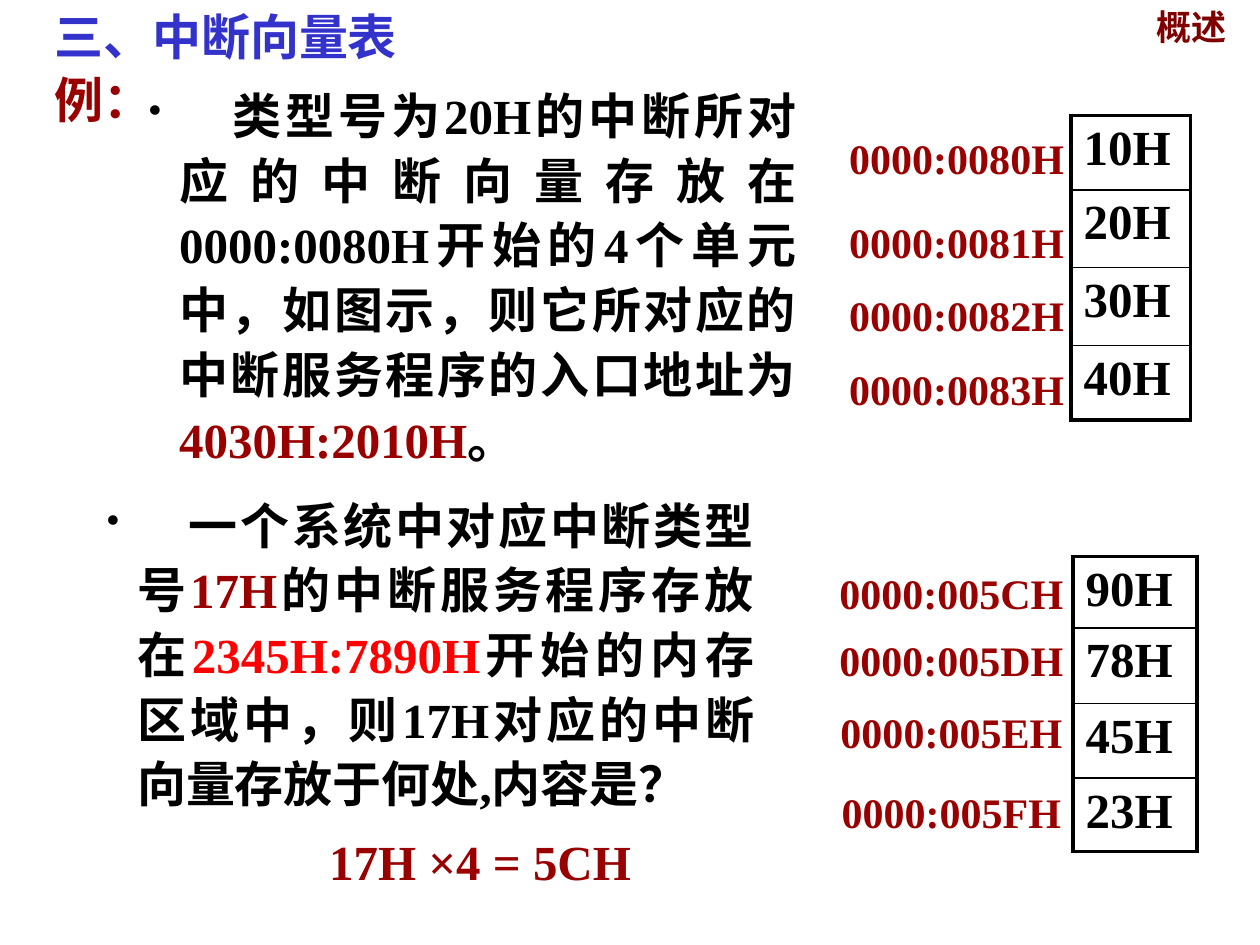
from lxml import etree
from pptx import Presentation
from pptx.dml.color import RGBColor
from pptx.enum.text import MSO_ANCHOR, PP_ALIGN
from pptx.oxml.ns import qn
from pptx.util import Inches, Pt

BLACK = RGBColor(0x00, 0x00, 0x00)
WHITE = RGBColor(0xFF, 0xFF, 0xFF)
BLUE = RGBColor(0x33, 0x33, 0xCC)
MAROON = RGBColor(0x80, 0x00, 0x00)
DARK_RED = RGBColor(0x99, 0x00, 0x00)
RED = RGBColor(0xFF, 0x00, 0x00)
LEFT, CENTER, JUSTIFY = PP_ALIGN.LEFT, PP_ALIGN.CENTER, PP_ALIGN.JUSTIFY
TOP, MIDDLE = MSO_ANCHOR.TOP, MSO_ANCHOR.MIDDLE
SERIF, SANS = "Times New Roman", "Noto Sans CJK SC"

WIDTH, HEIGHT = Inches(10), Inches(7.5)
COLS, ROWS = 120, 90
THICK, THIN = Pt(2.25), Pt(1)


def place(left, top, width, height):
    return (int(left * WIDTH / COLS), int(top * HEIGHT / ROWS),
            int(width * WIDTH / COLS), int(height * HEIGHT / ROWS))


def style(p, size, color, name=SERIF, align=LEFT):
    p.alignment = align
    p.font.size = Pt(size)
    p.font.bold = True
    p.font.name = name
    p.font.color.rgb = color


def add_text(slide, box, runs, size, color, name=SERIF, align=LEFT, anchor=TOP):
    tf = slide.shapes.add_textbox(*place(*box)).text_frame
    tf.word_wrap = True
    tf.vertical_anchor = anchor
    p = tf.paragraphs[0]
    style(p, size, color, name, align)
    for text, run_color in runs:
        r = p.add_run()
        r.text = text
        if run_color != color:
            r.font.color.rgb = run_color
    return p


def add_bullet(p):
    pPr = p._p.get_or_add_pPr()
    pPr.set("marL", str(Inches(0.24)))
    pPr.set("indent", str(-Inches(0.24)))
    color = etree.Element(qn("a:buClr"))
    etree.SubElement(color, qn("a:srgbClr"), val=str(BLACK))
    size = etree.Element(qn("a:buSzPct"), val="75000")
    char = etree.Element(qn("a:buChar"), char="•")
    for item in (color, size, char):
        pPr.find(qn("a:defRPr")).addprevious(item)


def add_headings(slide):
    add_text(slide, (109, 0, 11, 5), [("概述", MAROON)], 20, MAROON, anchor=MIDDLE)
    add_text(slide, (4, 0, 62, 6.8), [("三、中断向量表", BLUE)], 28, BLUE, SANS)
    add_text(slide, (4, 6, 13, 6.8), [("例：", DARK_RED)], 28, DARK_RED, align=JUSTIFY)


def add_example(slide, box, runs):
    p = add_text(slide, box, runs, 28, BLACK, align=JUSTIFY)
    p.line_spacing = 1.1
    add_bullet(p)


def add_result(slide, box):
    p = add_text(slide, box, [(" 17H ×4 = 5CH", DARK_RED)], 28, DARK_RED, align=JUSTIFY)
    p.line_spacing = 1.1


def set_borders(cell, **widths):
    tcPr = cell._tc.get_or_add_tcPr()
    for i, (side, width) in enumerate(widths.items()):
        line = etree.Element(qn(f"a:{side}"), w=str(width))
        fill = etree.SubElement(line, qn("a:solidFill"))
        etree.SubElement(fill, qn("a:srgbClr"), val=str(BLACK))
        tcPr.insert(i, line)


def add_memory(slide, left, top, width, rows):
    heights = [height for _, height in rows]
    frame = slide.shapes.add_table(len(rows), 1, *place(left, top, width, sum(heights)))
    table = frame.table
    table.first_row = table.horz_banding = False
    last = len(rows) - 1
    for i, (value, height) in enumerate(rows):
        table.rows[i].height = int(height * HEIGHT / ROWS)
        cell = table.cell(i, 0)
        cell.fill.solid()
        cell.fill.fore_color.rgb = WHITE
        cell.text = value
        style(cell.text_frame.paragraphs[0], 28, BLACK)
        set_borders(cell, lnL=THICK, lnR=THICK,
                    lnT=THICK if i == 0 else THIN,
                    lnB=THICK if i == last else THIN)


def add_addresses(slide, center, labels):
    for text, top, width in labels:
        add_text(slide, (center - width / 2, top, width, 6), [(text, DARK_RED)],
                 24, DARK_RED, align=CENTER)


def main():
    prs = Presentation()
    prs.slide_width, prs.slide_height = WIDTH, HEIGHT
    s = prs.slides.add_slide(prs.slide_layouts[6])

    add_headings(s)
    add_example(s, (13, 7, 64, 32), [
        ("　类型号为20H的中断所对应的中断向量存放在0000:0080H开始的4个单元中，"
         "如图示，则它所对应的中断服务程序的入口地址为", BLACK),
        ("4030H:2010H", DARK_RED),
        ("。", BLACK)])
    add_memory(s, 102, 11, 11.4,
               [("10H", 7.1), ("20H", 7.4), ("30H", 7.4), ("40H", 7.1)])
    add_addresses(s, 91.1, [("0000:0080H", 12, 25.7), ("0000:0081H", 20, 25.7),
                            ("0000:0082H", 27, 25.7), ("0000:0083H", 34, 25.7)])

    add_example(s, (9, 46, 64, 32), [
        ("　一个系统中对应中断类型号", BLACK),
        ("17H", DARK_RED),
        ("的中断服务程序存放在", BLACK),
        ("2345H:7890H", RED),
        ("开始的内存区域中，则17H对应的中断向量存放于何处,内容是？", BLACK)])
    add_memory(s, 102.2, 53, 11.8,
               [("90H", 6.8), ("78H", 7.2), ("45H", 7.1), ("23H", 7)])
    add_addresses(s, 90.6, [("0000:005CH", 53.5, 25.7), ("0000:005DH", 59.8, 27.4),
                            ("0000:005EH", 66.7, 28), ("0000:005FH", 74.3, 29)])
    add_result(s, (29, 78, 38, 7.3))

    prs.save("out.pptx")


if __name__ == "__main__":
    main()
